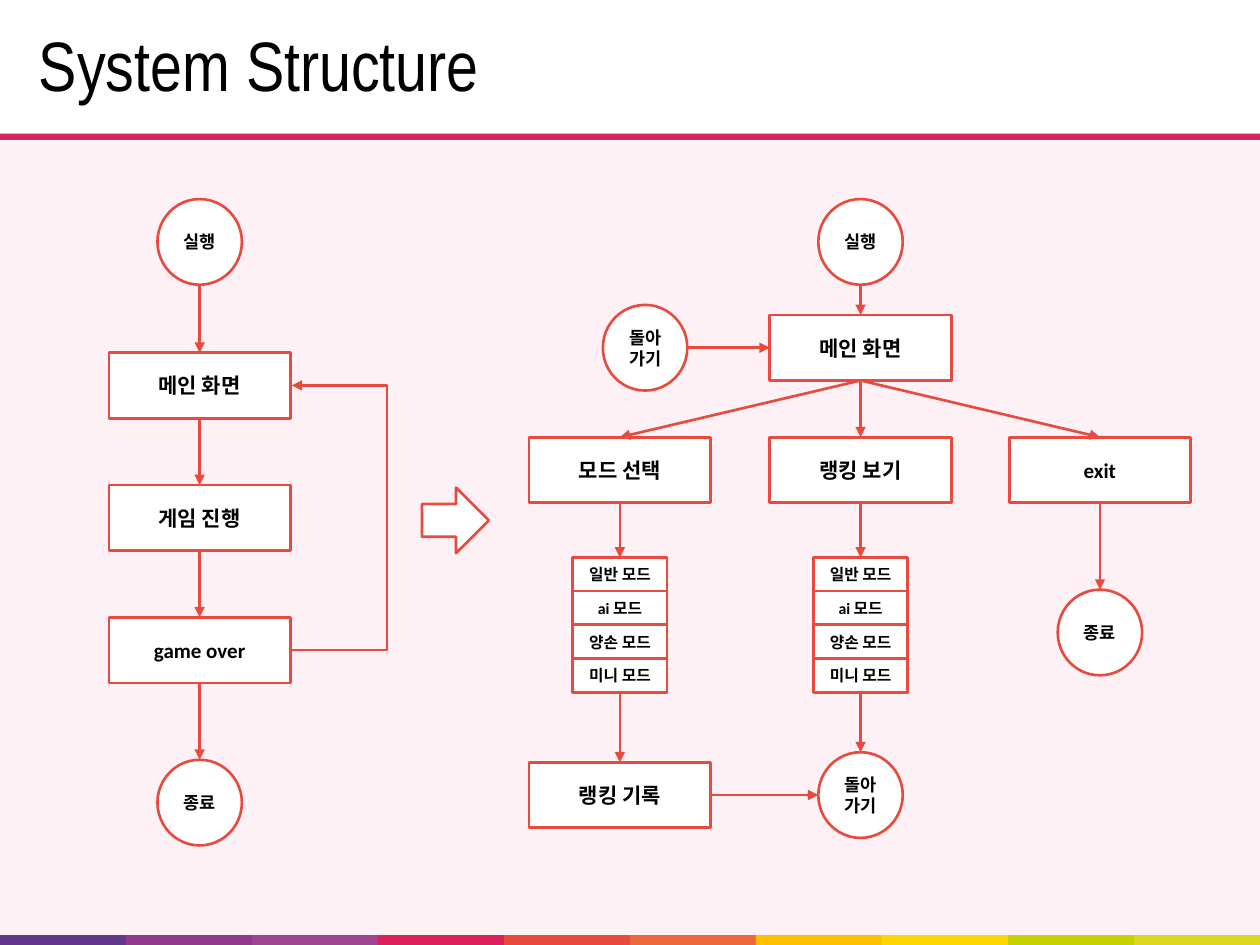
from pptx import Presentation
from pptx.dml.color import RGBColor
from pptx.enum.shapes import MSO_CONNECTOR, MSO_SHAPE
from pptx.enum.text import MSO_ANCHOR, PP_ALIGN
from pptx.oxml.ns import qn
from pptx.util import Inches, Pt
from lxml.etree import SubElement

STRIPE = ["60398C", "913A8B", "A04592", "DC205B", "E84A3E",
          "EC683C", "FFC000", "FCD702", "C6D300", "DDD721"]
RED, WHITE, BLACK = "E84A3E", "FFFFFF", "000000"
LEFT, MODE, MAIN, EXIT = 1.585, 4.92, 6.83, 8.73
KINDS = {
    "circle": (MSO_SHAPE.OVAL, 0.67, 0.68, 10),
    "box": (MSO_SHAPE.RECTANGLE, 1.44, 0.52, 12),
    "item": (MSO_SHAPE.RECTANGLE, 0.75, 0.27, 9),
    "arrow": (MSO_SHAPE.RIGHT_ARROW, 0.53, 0.52, 12),
}
NODES = {
    "start": ("circle", "실행", LEFT, 1.92),
    "home": ("box", "메인 화면", LEFT, 3.06),
    "play": ("box", "게임 진행", LEFT, 4.11),
    "over": ("box", "game over", LEFT, 5.16),
    "end": ("circle", "종료", LEFT, 6.37),
    "becomes": ("arrow", "", 3.615, 4.13),
    "new start": ("circle", "실행", MAIN, 1.92),
    "new home": ("box", "메인 화면", MAIN, 2.76),
    "return": ("circle", "돌아가기", 5.12, 2.76),
    "mode": ("box", "모드 선택", MODE, 3.73),
    "ranking": ("box", "랭킹 보기", MAIN, 3.73),
    "exit": ("box", "exit", EXIT, 3.73),
    "record": ("box", "랭킹 기록", MODE, 6.31),
    "new return": ("circle", "돌아가기", MAIN, 6.31),
    "new end": ("circle", "종료", EXIT, 5.02),
}
MODES = ["일반 모드", "ai 모드", "양손 모드", "미니 모드"]
for column, center in (("mode", MODE), ("ranking", MAIN)):
    for row, label in enumerate(MODES):
        NODES[f"{column} {row}"] = ("item", label, center, 4.56 + row * 0.267)
DOWN = [
    ("start", "home"), ("home", "play"), ("play", "over"), ("over", "end"),
    ("new start", "new home"), ("new home", "mode"), ("new home", "ranking"),
    ("new home", "exit"), ("mode", "mode 0"), ("mode 3", "record"),
    ("ranking", "ranking 0"), ("ranking 3", "new return"), ("exit", "new end"),
]
ACROSS = [("return", "new home"), ("record", "new return")]

deck = Presentation()
deck.slide_width, deck.slide_height = Inches(10), Inches(7.5)
page = deck.slides.add_slide(deck.slide_layouts[6])


def color(value):
    return RGBColor.from_string(value)


def add_block(preset, left, top, width, height, fill, line=None):
    block = page.shapes.add_shape(
        preset, Inches(left), Inches(top), Inches(width), Inches(height))
    block.shadow.inherit = False
    block.fill.solid()
    block.fill.fore_color.rgb = color(fill)
    if line:
        block.line.color.rgb = color(line)
        block.line.width = Pt(1.5)
    else:
        block.line.fill.background()
    return block


def add_text(para, text, font, size, bold=False):
    span = para.add_run()
    span.text = text
    span.font.name = font
    span.font.size = Pt(size)
    span.font.bold = bold
    span.font.color.rgb = color(BLACK)


def add_node(kind, text, x, y):
    preset, width, height, size = KINDS[kind]
    node = add_block(preset, x - width / 2, y - height / 2, width, height, WHITE, RED)
    if text:
        frame = node.text_frame
        frame.word_wrap = True
        frame.vertical_anchor = MSO_ANCHOR.MIDDLE
        frame.paragraphs[0].alignment = PP_ALIGN.CENTER
        add_text(frame.paragraphs[0], text, "Calibri", size, True)


def side(name, dx, dy):
    kind, text, x, y = NODES[name]
    preset, width, height, size = KINDS[kind]
    return x + dx * width / 2, y + dy * height / 2


def add_arrow(start, end, kind=MSO_CONNECTOR.STRAIGHT):
    arrow = page.shapes.add_connector(kind, *(Inches(v) for v in (*start, *end)))
    arrow.line.color.rgb = color(RED)
    arrow.line.width = Pt(1.5)
    SubElement(arrow.line._get_or_add_ln(), qn("a:tailEnd"), type="triangle")
    SubElement(arrow._element.spPr, qn("a:effectLst"))
    return arrow


for index, shade in enumerate(STRIPE):
    add_block(MSO_SHAPE.RECTANGLE, index, 7.42, 1, 0.08, shade)
add_block(MSO_SHAPE.RECTANGLE, 0, 1.12, 10, 6.3, "FDF1F5")
add_block(MSO_SHAPE.RECTANGLE, 0, 1.06, 10, 0.05, "DC205B")

for node in NODES.values():
    add_node(*node)
for source, target in DOWN:
    add_arrow(side(source, 0, 1), side(target, 0, -1))
for source, target in ACROSS:
    add_arrow(side(source, 1, 0), side(target, -1, 0))

loop_start, loop_end = side("over", 1, 0), side("home", 1, 0)
step, reach = 0.01, 0.78
loop = add_arrow(loop_start, (loop_end[0] + step, loop_end[1]), MSO_CONNECTOR.ELBOW)
guides = loop._element.spPr.find(qn("a:prstGeom")).get_or_add_avLst()
SubElement(guides, qn("a:gd"), name="adj1", fmla=f"val {round(reach / step * 100000)}")

title = page.shapes.add_textbox(Inches(0), Inches(-0.11), Inches(10), Inches(0.96))
frame = title.text_frame
frame.word_wrap = True
frame.vertical_anchor = MSO_ANCHOR.MIDDLE
frame.margin_left, frame.margin_top = Inches(0.31), Inches(0.35)
frame.margin_right = frame.margin_bottom = 0
frame.paragraphs[0].line_spacing = 0.9
add_text(frame.paragraphs[0], "System Structure", "Arial Narrow", 40)

deck.save("out.pptx")
